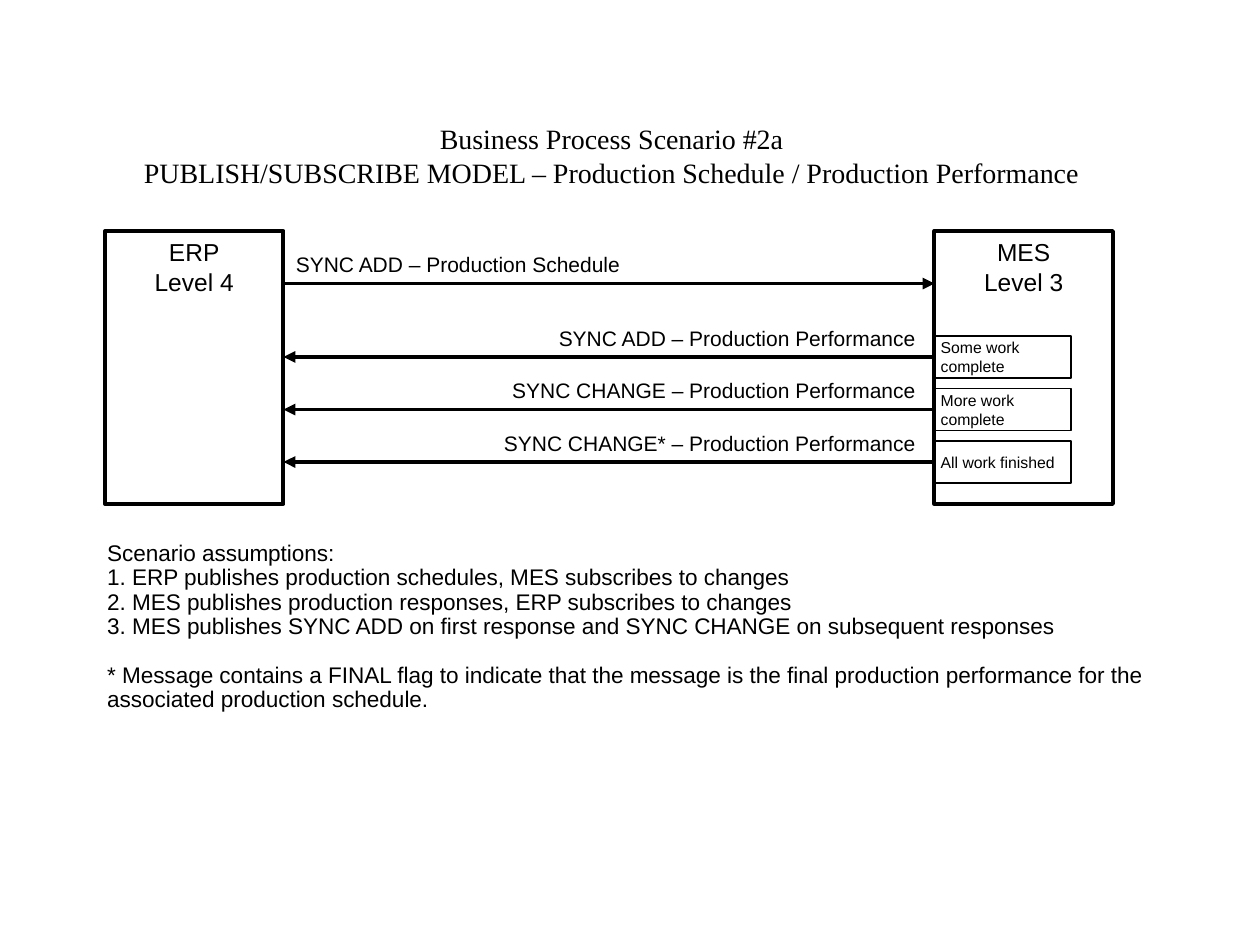
"""Build a slide showing a publish/subscribe exchange between ERP and MES."""
from lxml import etree
from pptx import Presentation
from pptx import util as u
from pptx.dml.color import RGBColor
from pptx.enum import shapes, text
from pptx.oxml.ns import qn

COLORS = {"ink": "000000", "paper": "FFFFFF"}
LEFT, CENTER, RIGHT = text.PP_ALIGN.LEFT, text.PP_ALIGN.CENTER, text.PP_ALIGN.RIGHT
TOP, MIDDLE = text.MSO_ANCHOR.TOP, text.MSO_ANCHOR.MIDDLE

ERP_X, MES_X, SYSTEM_W = 60, 534, 102
SYSTEM_Y, SYSTEM_H = 132, 156
ERP_RIGHT = ERP_X + SYSTEM_W
SCHEDULE_Y, FIRST_RESPONSE_Y, RESPONSE_STEP = 162, 204, 30
STATUS_W, STATUS_H = 78, 24
LABEL_RIGHT, LABEL_RISE, LABEL_H = 530.5, 21.6, 21.6

RESPONSES = [
    ("SYNC ADD – Production Performance", 219, "Some work\ncomplete"),
    ("SYNC CHANGE – Production Performance", 245, "More work\ncomplete"),
    ("SYNC CHANGE* – Production Performance", 250, "All work finished"),
]
ASSUMPTIONS = """Scenario assumptions:
1. ERP publishes production schedules, MES subscribes to changes
2. MES publishes production responses, ERP subscribes to changes
3. MES publishes SYNC ADD on first response and SYNC CHANGE on subsequent responses
* Message contains a FINAL flag to indicate that the message is the final production performance for the associated production schedule."""


def write(tf, content, size=12, font="Arial", align=LEFT, anchor=TOP, wrap=True,
          inset=7.2, spacing=1.0, bullets_off=False):
    """Fill a text frame with one paragraph per line of content."""
    tf.auto_size = text.MSO_AUTO_SIZE.NONE
    tf.word_wrap, tf.vertical_anchor = wrap, anchor
    tf.margin_left = tf.margin_right = u.Pt(inset)
    tf.margin_top = tf.margin_bottom = u.Pt(3.6)
    for i, line in enumerate(content.split("\n")):
        p = tf.add_paragraph() if i else tf.paragraphs[0]
        if bullets_off:
            pPr = p._p.get_or_add_pPr()
            pPr.set("marL", "0")
            pPr.set("indent", "0")
            etree.SubElement(pPr, qn("a:buNone"))
        p.alignment, p.line_spacing = align, spacing
        p.space_before = p.space_after = u.Pt(0)
        r = p.add_run()
        r.text = line
        r.font.size, r.font.name = u.Pt(size), font
        r.font.color.rgb = RGBColor.from_string(COLORS["ink"])


class Deck:
    """Hold the style and the current slide."""

    def __init__(self):
        self.prs = Presentation()
        self.prs.slide_width, self.prs.slide_height = u.Pt(720), u.Pt(540)
        self.s = self.prs.slides.add_slide(self.prs.slide_layouts[1])

    def placeholder(self, idx, x, y, w, h, content, **fmt):
        """Move and fill a template placeholder."""
        sp = self.s.placeholders[idx]
        sp.left, sp.top, sp.width, sp.height = map(u.Pt, (x, y, w, h))
        write(sp.text_frame, content, **fmt)
        return sp

    def box(self, x, y, w, h, content, weight, fill=None, **fmt):
        """Add an outlined rectangle with text."""
        sp = self.s.shapes.add_shape(shapes.MSO_SHAPE.RECTANGLE, *map(u.Pt, (x, y, w, h)))
        sp.shadow.inherit = False
        if fill:
            sp.fill.solid()
            sp.fill.fore_color.rgb = RGBColor.from_string(COLORS[fill])
        else:
            sp.fill.background()
        sp.line.color.rgb = RGBColor.from_string(COLORS["ink"])
        sp.line.width = u.Pt(weight)
        write(sp.text_frame, content, **fmt)
        return sp

    def label(self, x, y, w, content, **fmt):
        """Add a one-line label."""
        sp = self.s.shapes.add_textbox(*map(u.Pt, (x, y, w, LABEL_H)))
        write(sp.text_frame, content, wrap=False, **fmt)

    def arrow(self, x1, x2, y, source=None):
        """Add a horizontal arrow, joined to the left side of its source if given."""
        cx = self.s.shapes.add_connector(
            shapes.MSO_CONNECTOR.STRAIGHT, *map(u.Pt, (x1, y, x2, y)))
        if source is not None:
            cx.begin_connect(source, 1)
        cx.line.color.rgb = RGBColor.from_string(COLORS["ink"])
        cx.line.width = u.Pt(2.25)
        etree.SubElement(cx.line._get_or_add_ln(), qn("a:tailEnd"), type="triangle")
        etree.SubElement(cx._element.spPr, qn("a:effectLst"))


def main():
    """Draw the scenario and save it."""
    deck = Deck()
    deck.placeholder(
        0, 75, 66, 549, 46,
        "Business Process Scenario #2a\n"
        "PUBLISH/SUBSCRIBE MODEL – Production Schedule / Production Performance",
        size=16, font="Times New Roman", align=CENTER, wrap=False)
    body = deck.placeholder(1, 54, 306, 606, 126, ASSUMPTIONS,
                            size=12.9, spacing=0.9, bullets_off=True)
    body.text_frame.paragraphs[-1].space_before = u.Pt(14)

    for x, name in ((ERP_X, "ERP\nLevel 4"), (MES_X, "MES\nLevel 3")):
        deck.box(x, SYSTEM_Y, SYSTEM_W, SYSTEM_H, name, 2.25, fill="paper",
                 size=14, align=CENTER)

    deck.arrow(ERP_RIGHT, MES_X, SCHEDULE_Y)
    deck.label(ERP_RIGHT, SCHEDULE_Y - LABEL_RISE, 200, "SYNC ADD – Production Schedule")

    for i, (message, width, status) in enumerate(RESPONSES):
        y = FIRST_RESPONSE_Y + i * RESPONSE_STEP
        sp = deck.box(MES_X, y - STATUS_H / 2, STATUS_W, STATUS_H, status, 0.75,
                      size=9, anchor=MIDDLE, wrap=False, inset=3.6)
        deck.arrow(MES_X, ERP_RIGHT, y, source=sp)
        deck.label(LABEL_RIGHT - width, y - LABEL_RISE, width, message, align=RIGHT)

    deck.prs.save("out.pptx")


if __name__ == "__main__":
    main()
